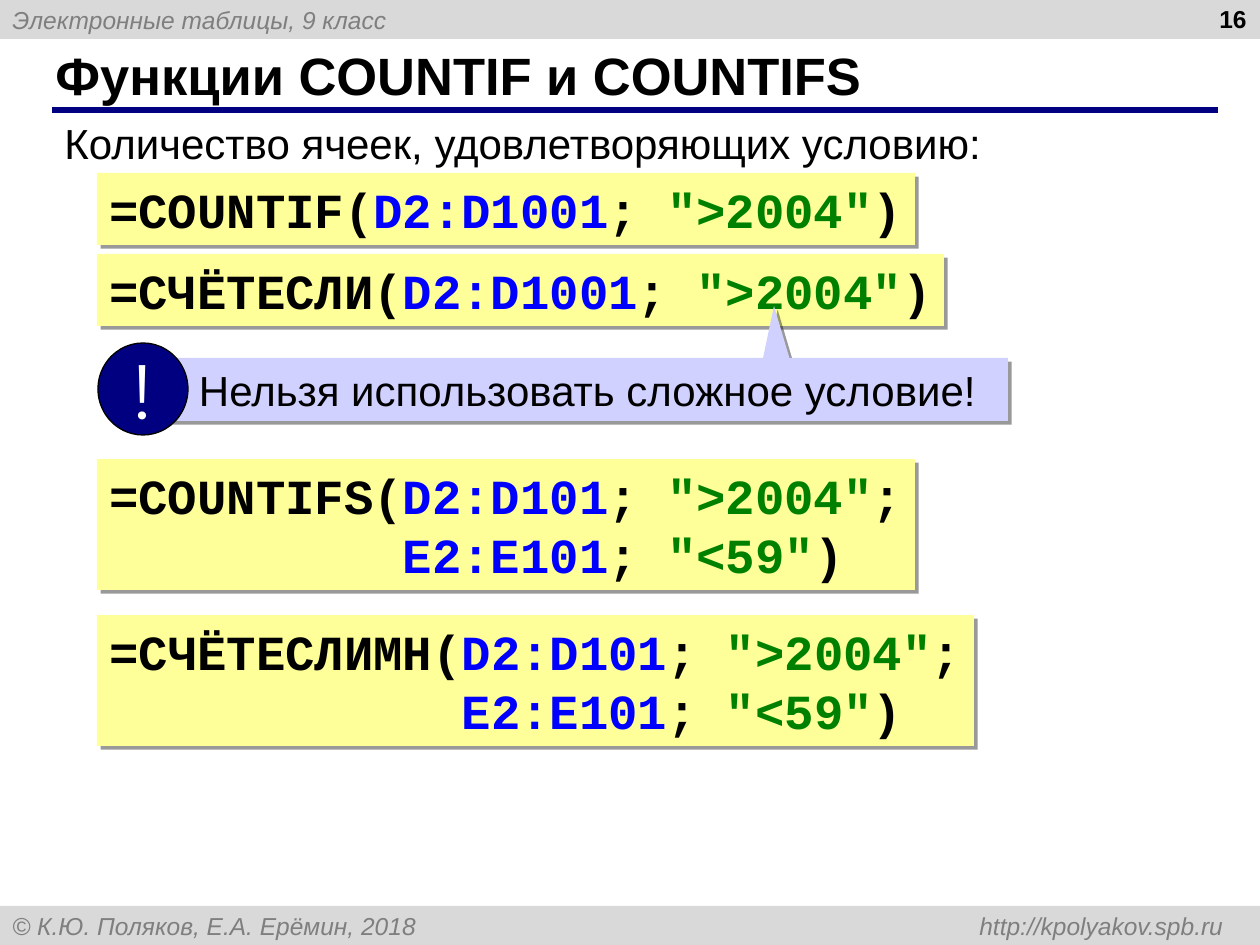
from dataclasses import dataclass

from lxml.etree import SubElement
from pptx import Presentation
from pptx.dml.color import RGBColor
from pptx.enum.shapes import MSO_CONNECTOR as Connector, MSO_SHAPE as Shape
from pptx.enum.text import MSO_ANCHOR as Anchor, MSO_AUTO_SIZE as AutoSize, PP_ALIGN as Align
from pptx.oxml.ns import qn
from pptx.util import Emu, Pt


@dataclass(frozen=True)
class Theme:
    sans: str = "Arial"
    mono: str = "Courier New"
    badge: str = "Montserrat"
    ink: str = "000000"
    white: str = "FFFFFF"
    navy: str = "000080"
    bar: str = "D9D9D9"
    muted: str = "7F7F7F"
    code: str = "FFFF99"
    note: str = "D1D1FF"
    cells: str = "0000FF"
    condition: str = "008000"
    small: int = 14
    body: int = 24
    formula: int = 28
    title: int = 30
    mark: int = 44


THEME = Theme()
WIDTH, HEIGHT = 1260, 945
BAR_HEIGHT = 39
CODE_LEFT = 97

# Content
HEADER = "Электронные таблицы, 9 класс"
FOOTER = "© К.Ю. Поляков, Е.А. Ерёмин, 2018\thttp://kpolyakov.spb.ru"
PAGE = "16"
TITLE = "Функции COUNTIF и COUNTIFS"
INTRO = "Количество ячеек, удовлетворяющих условию:"
WARNING = "Нельзя использовать сложное условие!"
SINGLE = [("D2:D1001", '">2004"')]
DOUBLE = [("D2:D101", '">2004"'), ("E2:E101", '"<59"')]
# function, arguments, top, width, height
FORMULAS = [
    ("COUNTIF", SINGLE, 173, 818, 72),
    ("СЧЁТЕСЛИ", SINGLE, 254, 847, 72),
    ("COUNTIFS", DOUBLE, 459, 818, 131),
    ("СЧЁТЕСЛИМН", DOUBLE, 615, 877, 131),
]


def px(value):
    return Emu(round(value * 914400 / 126))


def color(value):
    return RGBColor.from_string(value)


def style(font, size, ink=THEME.ink, name=THEME.sans, bold=False, italic=False):
    font.size, font.name, font.bold, font.italic = Pt(size), name, bold, italic
    font.color.rgb = color(ink)


def paint(shape, fill, line=None, shadow=False):
    shape.fill.solid()
    shape.fill.fore_color.rgb = color(fill)
    if line:
        shape.line.color.rgb = color(line)
        shape.line.width = Pt(0.75)
    else:
        shape.line.fill.background()
    shape.shadow.inherit = False
    if shadow:
        effects = shape._element.spPr.find(qn("a:effectLst"))
        outer = SubElement(effects, qn("a:outerShdw"), dist=str(Pt(3)), dir="2700000",
                           algn="tl", rotWithShape="0")
        black = SubElement(outer, qn("a:srgbClr"), val=THEME.ink)
        SubElement(black, qn("a:alpha"), val="40000")


def add_box(shapes, box, fill, kind=Shape.RECTANGLE, **options):
    shape = shapes.add_shape(kind, *map(px, box))
    paint(shape, fill, **options)
    return shape


def write(shape, text, size, align=Align.LEFT, anchor=Anchor.TOP, wrap=True, **look):
    frame = shape.text_frame
    frame.word_wrap = wrap
    frame.vertical_anchor = anchor
    frame.text = text
    paragraph = frame.paragraphs[0]
    paragraph.alignment = align
    for run in paragraph.runs:
        style(run.font, size, **look)
    return paragraph


def add_text(slide, box, text, size, **options):
    write(slide.shapes.add_textbox(*map(px, box)), text, size, **options)


def add_bar(slide, top, text):
    bar = add_box(slide.shapes, (0, top, WIDTH, BAR_HEIGHT), THEME.bar)
    return write(bar, text, THEME.small, anchor=Anchor.MIDDLE, ink=THEME.muted, italic=True)


def add_formula(slide, function, arguments, top, width, height):
    shape = add_box(slide.shapes, (CODE_LEFT, top, width, height), THEME.code, shadow=True)
    frame = shape.text_frame
    frame.word_wrap = False
    frame.auto_size = AutoSize.SHAPE_TO_FIT_TEXT
    frame.vertical_anchor = Anchor.TOP
    opening = f"={function}("
    for index, (cells, condition) in enumerate(arguments):
        paragraph = frame.add_paragraph() if index else frame.paragraphs[0]
        paragraph.alignment = Align.LEFT
        pieces = [
            (" " * len(opening) if index else opening, THEME.ink),
            (cells, THEME.cells),
            ("; ", THEME.ink),
            (condition, THEME.condition),
            (")" if index == len(arguments) - 1 else ";", THEME.ink),
        ]
        for text, ink in pieces:
            run = paragraph.add_run()
            run.text = text
            style(run.font, THEME.formula, ink, THEME.mono, bold=True)


def add_warning(slide):
    shapes = slide.shapes.add_group_shape().shapes
    builder = shapes.build_freeform(761, 368, scale=float(px(1)))
    builder.add_line_segments([(774, 306), (793, 370)], close=True)
    paint(builder.convert_to_shape(), THEME.note, shadow=True)
    note = add_box(shapes, (163, 358, 845, 63), THEME.note, shadow=True)
    note.text_frame.margin_left = px(36)
    write(note, WARNING, THEME.body)
    badge = add_box(shapes, (98, 343, 90, 92), THEME.navy, Shape.OVAL, line=THEME.ink)
    write(badge, "!", THEME.mark, align=Align.CENTER, anchor=Anchor.MIDDLE, wrap=False,
          ink=THEME.white, name=THEME.badge)


def main():
    presentation = Presentation()
    presentation.slide_width, presentation.slide_height = px(WIDTH), px(HEIGHT)
    slide = presentation.slides.add_slide(presentation.slide_layouts[6])

    # Header and footer bars
    add_bar(slide, 0, HEADER)
    footer = add_bar(slide, HEIGHT - BAR_HEIGHT, FOOTER)
    tabs = SubElement(footer._p.get_or_add_pPr(), qn("a:tabLst"))
    SubElement(tabs, qn("a:tab"), pos=str(px(1211)), algn="r")

    # Title, its rule and the page number
    rule = slide.shapes.add_connector(Connector.STRAIGHT, px(52), px(110), px(1218), px(110))
    rule.line.color.rgb = color(THEME.navy)
    rule.line.width = Pt(3)
    SubElement(rule._element.spPr, qn("a:effectLst"))
    add_text(slide, (43, 42, 1154, 66), TITLE, THEME.title, anchor=Anchor.MIDDLE, bold=True)
    add_text(slide, (965, -2, 294, 66), PAGE, THEME.small, align=Align.RIGHT, bold=True)

    # Formulas and the warning callout
    add_text(slide, (52, 111, 1163, 63), INTRO, THEME.body)
    for formula in FORMULAS[:2]:
        add_formula(slide, *formula)
    add_warning(slide)
    for formula in FORMULAS[2:]:
        add_formula(slide, *formula)

    presentation.save("out.pptx")


if __name__ == "__main__":
    main()
